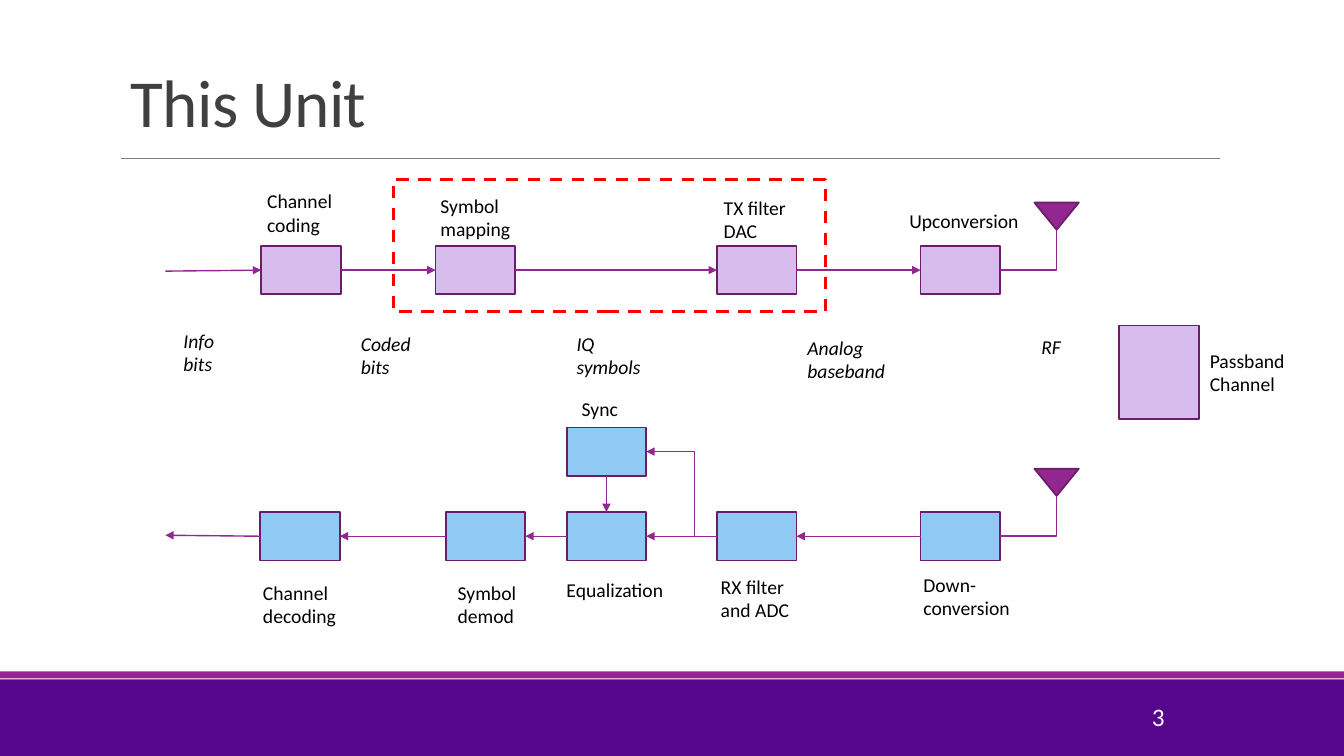
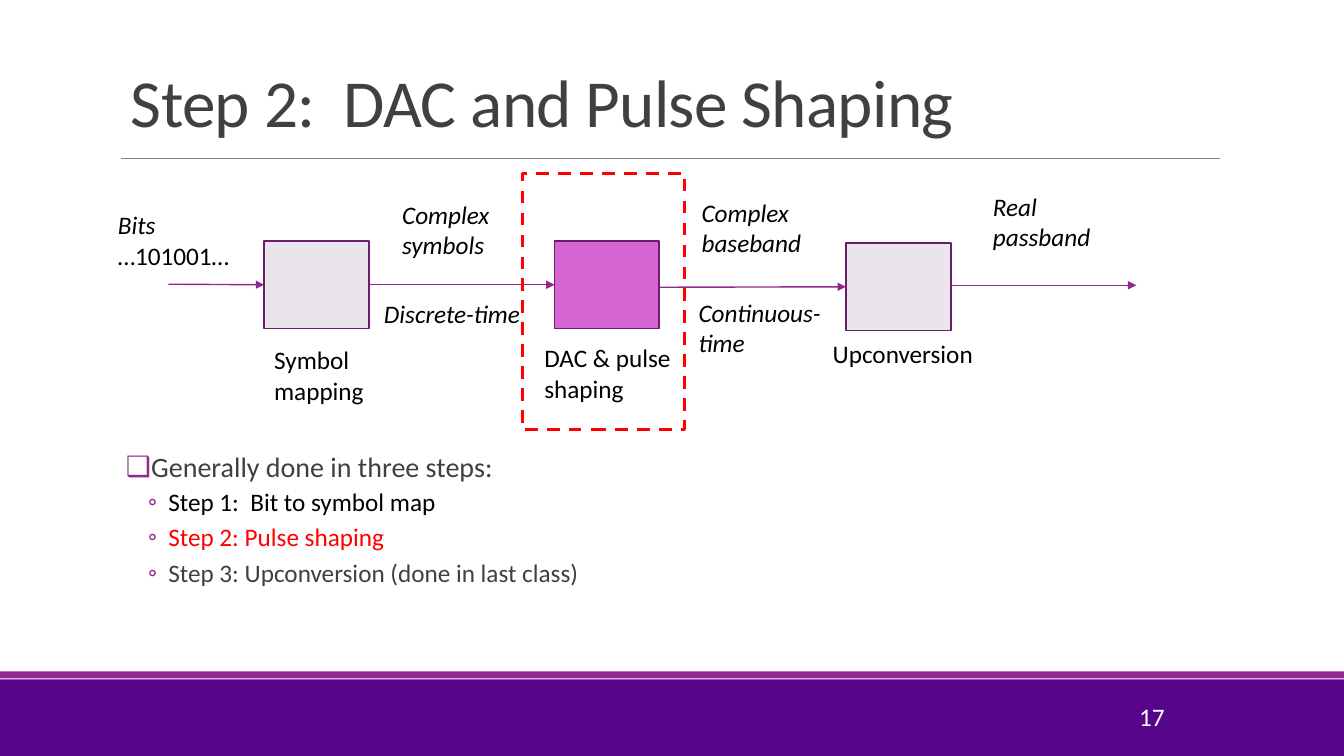
from lxml import etree
from pptx import Presentation
from pptx.dml.color import RGBColor
from pptx.enum.dml import MSO_LINE
from pptx.enum.shapes import MSO_CONNECTOR, MSO_SHAPE
from pptx.enum.text import MSO_ANCHOR, PP_ALIGN
from pptx.oxml.ns import qn
from pptx.util import Inches, Pt

FONT = "Calibri"
PURPLE, MAGENTA, PLUM = "57068C", "92278F", "6C1D6A"
LILAC, SKY, PALE, ORCHID = "D7BCED", "8FC9F4", "EAE5EB", "D665D3"
GREY, DARK, BLACK, WHITE, RED = "808080", "404040", "000000", "FFFFFF", "FF0000"
TOP, LEFT, BOTTOM, RIGHT = range(4)


def rgb(color):
    return RGBColor.from_string(color)


def add_run(p, text, size, color=BLACK, italic=False):
    r = p.add_run()
    r.text = text
    r.font.name = FONT
    r.font.size = Pt(size)
    r.font.italic = italic
    r.font.color.rgb = rgb(color)
    return r


class Region:
    """A part of a slide whose lengths are measured from its top left corner."""

    def __init__(self, slide, x, y, size=14, block=(0.79, 0.48)):
        self.shapes = slide.shapes
        self.x, self.y = x, y
        self.size = size
        self.block_size = block

    def at(self, x, y):
        return Inches(self.x + x), Inches(self.y + y)

    def shape(self, kind, x, y, w, h, fill=None, line=None, width=1.25):
        sp = self.shapes.add_shape(kind, *self.at(x, y), Inches(w), Inches(h))
        sp.shadow.inherit = False
        if fill:
            sp.fill.solid()
            sp.fill.fore_color.rgb = rgb(fill)
        else:
            sp.fill.background()
        if line:
            sp.line.color.rgb = rgb(line)
            sp.line.width = Pt(width)
        else:
            sp.line.fill.background()
        return sp

    def block(self, x, y, fill):
        return self.shape(MSO_SHAPE.RECTANGLE, x, y, *self.block_size, fill, PLUM)

    def highlight(self, x, y, w, h):
        sp = self.shape(MSO_SHAPE.RECTANGLE, x, y, w, h, line=RED, width=2.25)
        sp.line.dash_style = MSO_LINE.DASH

    def text_box(self, x, y, w, h, anchor=MSO_ANCHOR.TOP):
        tf = self.shapes.add_textbox(*self.at(x, y), Inches(w), Inches(h)).text_frame
        tf.word_wrap = True
        tf.vertical_anchor = anchor
        return tf

    def label(self, text, x, y, w, italic=False):
        """Place a label and return its paragraph; a newline is a line break."""
        p = self.text_box(x, y, w, self.size * 0.04).paragraphs[0]
        for i, line in enumerate(text.split("\n")):
            if i:
                p.add_line_break()
            add_run(p, line, self.size, italic=italic)
        return p

    def connector(self, start, end, color=MAGENTA, width=1, arrow="tailEnd",
                  kind=MSO_CONNECTOR.STRAIGHT):
        """Join two ends, each a point (x, y) or a pair (shape, side)."""
        points = [self.at(0, 0) if hasattr(a, "shape_id") else self.at(a, b)
                  for a, b in (start, end)]
        line = self.shapes.add_connector(kind, *points[0], *points[1])
        if hasattr(start[0], "shape_id"):
            line.begin_connect(*start)
        if hasattr(end[0], "shape_id"):
            line.end_connect(*end)
        line.line.color.rgb = rgb(color)
        line.line.width = Pt(width)
        if arrow:
            etree.SubElement(line.line._get_or_add_ln(), qn("a:" + arrow), type="triangle")
        etree.SubElement(line._element.spPr, qn("a:effectLst"))
        return line

    def elbow(self, start, end, arrow=None):
        """Draw a connector that leaves sideways and turns once."""
        line = self.connector(start, end, arrow=arrow, kind=MSO_CONNECTOR.ELBOW)
        line._element.spPr.find(qn("a:prstGeom")).set("prst", "bentConnector2")

    def chain(self, blocks, start_side, end_side):
        for a, b in zip(blocks, blocks[1:]):
            self.connector((a, start_side), (b, end_side))

    def antenna(self, x, y, block):
        sp = self.shape(MSO_SHAPE.FLOWCHART_MERGE, x, y, 0.44, 0.27, MAGENTA, PLUM)
        self.elbow((block, RIGHT), (sp, BOTTOM))


def base_slide(prs, title, number):
    slide = prs.slides.add_slide(prs.slide_layouts[6])
    page = Region(slide, 0, 0)
    page.shape(MSO_SHAPE.RECTANGLE, 0, 6.74, 13.33, 0.76, PURPLE)
    page.shape(MSO_SHAPE.RECTANGLE, 0, 6.66, 13.33, 0.07, MAGENTA)
    page.connector((1.2, 1.57), (12.1, 1.57), GREY, 0.5, arrow=None)

    p = page.text_box(1.2, 0.31, 11, 1.14, MSO_ANCHOR.BOTTOM).paragraphs[0]
    p.line_spacing = 0.85
    r = add_run(p, title, 48, DARK)
    r.font._element.set("spc", "-50")

    p = page.text_box(10.22, 6.91, 1.43, 0.4, MSO_ANCHOR.MIDDLE).paragraphs[0]
    p.alignment = PP_ALIGN.RIGHT
    add_run(p, str(number), 18, WHITE)
    return slide


def transmitter(slide, x, y):
    tx = Region(slide, x, y)
    blocks = [tx.block(bx, 0.66, LILAC) for bx in (0.95, 2.68, 5.47, 7.49)]
    tx.connector((0, 0.91), (blocks[0], LEFT))
    tx.chain(blocks, RIGHT, LEFT)
    tx.antenna(8.62, 0.23, blocks[-1])
    for text, lx, ly, w in (
        ("Channel coding", 0.91, 0.05, 1.05),
        ("Symbol\nmapping", 2.63, 0.09, 1),
        ("TX filter DAC", 5.44, 0.11, 1.03),
        ("Upconversion", 7.28, 0.24, 1.29),
    ):
        tx.label(text, lx, ly, w)
    for text, lx, ly, w in (
        ("Info bits", 0.08, 1.43, 0.78),
        ("Coded bits", 1.84, 1.46, 0.78),
        ("IQ symbols", 3.98, 1.46, 0.95),
        ("Analog baseband", 6.27, 1.5, 1.04),
        ("RF", 8.59, 1.49, 0.57),
    ):
        tx.label(text, lx, ly, w, italic=True)
    tx.highlight(2.26, 0, 4.29, 1.31)


def passband_channel(slide, x, y):
    channel = Region(slide, x, y, block=(0.79, 0.93))
    channel.block(0, 0, LILAC)
    channel.label("Passband\nChannel", 0.8, 0.18, 1.29)


def receiver(slide, x, y):
    rx = Region(slide, x, y)
    blocks = [rx.block(bx, 1.19, SKY) for bx in (7.49, 5.47, 3.98, 2.78, 0.94)]
    sync = rx.block(3.98, 0.35, SKY)
    equalizer = blocks[2]
    rx.antenna(8.62, 0.76, blocks[0])
    rx.chain(blocks, LEFT, RIGHT)
    rx.connector((blocks[-1], LEFT), (0, 1.42))
    rx.connector((sync, BOTTOM), (equalizer, TOP))
    rx.elbow((sync, RIGHT), (5.25, 1.43), arrow="headEnd")
    for text, lx, ly, w in (
        ("Down-conversion", 7.42, 1.74, 1.29),
        ("RX filter\nand ADC", 5.41, 1.76, 1.29),
        ("Sync", 4.03, 0, 1.29),
        ("Equalization", 3.88, 1.79, 1.29),
        ("Symbol\ndemod", 2.8, 1.82, 0.95),
        ("Channel\ndecoding", 0.87, 1.82, 0.95),
    ):
        rx.label(text, lx, ly, w)


def modulation_chain(slide, x, y):
    mod = Region(slide, x, y, size=18, block=(1.04, 0.87))
    mapper = mod.block(1.55, 0.67, PALE)
    dac = mod.block(4.43, 0.67, ORCHID)
    upconverter = mod.block(7.32, 0.69, PALE)
    mod.connector((0.6, 1.1), (mapper, LEFT))
    mod.connector((mapper, RIGHT), (dac, LEFT))
    mod.connector((5.47, 1.13), (upconverter, LEFT))
    mod.connector((8.36, 1.11), (10.2, 1.11))

    p = mod.label("Bits", 0, 0.31, 1.61, italic=True)
    p.add_line_break()
    add_run(p, "…101001…", mod.size)
    for text, lx, ly, w, italic in (
        ("Complex symbols", 2.82, 0.21, 1.61, True),
        ("Discrete-time", 2.64, 1.19, 1.61, True),
        ("Complex baseband", 5.79, 0.19, 1.61, True),
        ("Continuous-time", 5.76, 1.18, 1.41, True),
        ("Real passband", 8.68, 0.13, 1.61, True),
        ("Symbol mapping", 1.55, 1.65, 1.61, False),
        ("DAC & pulse shaping", 4.23, 1.63, 1.61, False),
        ("Upconversion", 7.09, 1.59, 1.61, False),
    ):
        mod.label(text, lx, ly, w, italic)
    mod.highlight(4.11, 0, 1.61, 2.54)


def add_bullet(p, char, margin, indent):
    pPr = p._p.get_or_add_pPr()
    pPr.set("marL", str(Inches(margin)))
    pPr.set("indent", str(Inches(indent)))
    color = etree.SubElement(pPr, qn("a:buClr"))
    etree.SubElement(color, qn("a:srgbClr"), val=MAGENTA)
    etree.SubElement(pPr, qn("a:buFont"), typeface=FONT)
    etree.SubElement(pPr, qn("a:buChar"), char=char)


def step_list(slide, x, y, w, h):
    tf = Region(slide, x, y).text_box(0, 0, w, h)
    tf.margin_left = tf.margin_right = 0
    p = tf.paragraphs[0]
    add_bullet(p, "❑", 0.1, -0.1)
    p.line_spacing = 0.9
    p.space_after = Pt(2)
    add_run(p, "Generally done in three steps:", 20, DARK)
    for text, color in (
        ("Step 1:  Bit to symbol map", BLACK),
        ("Step 2: Pulse shaping", RED),
        ("Step 3: Upconversion (done in last class)", DARK),
    ):
        p = tf.add_paragraph()
        p.level = 1
        add_bullet(p, "◦", 0.42, -0.2)
        p.line_spacing = 0.9
        p.space_before = Pt(2)
        p.space_after = Pt(4)
        add_run(p, text, 18, color)


def main():
    prs = Presentation()
    prs.slide_width, prs.slide_height = Inches(13.33), Inches(7.5)

    slide = base_slide(prs, "This Unit", 3)
    transmitter(slide, 1.64, 1.78)
    passband_channel(slide, 11.1, 3.23)
    receiver(slide, 1.64, 3.89)

    slide = base_slide(prs, "Step 2:  DAC and Pulse Shaping", 17)
    modulation_chain(slide, 1.07, 1.72)
    step_list(slide, 1.25, 4.45, 8.5, 2.1)

    prs.save("out.pptx")


if __name__ == "__main__":
    main()
